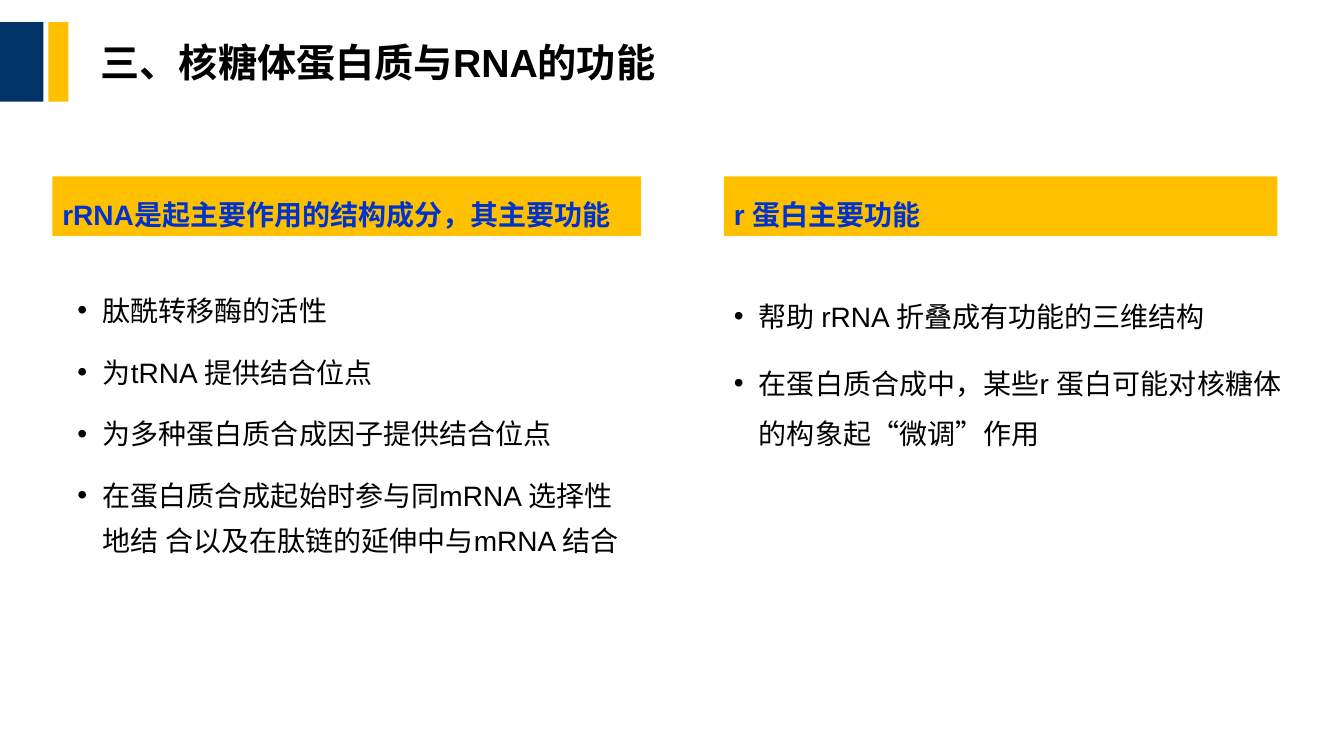
import dataclasses
import typing

import lxml.etree
import pptx
import pptx.dml.color
import pptx.enum.shapes
import pptx.enum.text
import pptx.oxml.ns
import pptx.util

COLOURS = {"navy": "003366", "gold": "FFC000", "blue": "0033CC", "black": "000000"}
FONT = "Arial"
SLIDE_WIDTH = pptx.util.Inches(13.33)
SLIDE_HEIGHT = pptx.util.Inches(7.5)
INDENT = pptx.util.Inches(0.25)

# Rows shared by the parts: top and height in percent of the slide height
TITLE_ROW = (2.93, 10.53)
HEADING_ROW = (23.33, 7.87)
LIST_ROW = (36.67, 57.6)


@dataclasses.dataclass
class Box:
    """Left and width in percent of the slide width, plus a row."""
    left: float
    width: float
    row: tuple[float, float]

    def lengths(self) -> tuple[int, int, int, int]:
        top, height = self.row
        return (round(SLIDE_WIDTH * self.left / 100), round(SLIDE_HEIGHT * top / 100),
                round(SLIDE_WIDTH * self.width / 100), round(SLIDE_HEIGHT * height / 100))


@dataclasses.dataclass
class Topic:
    heading: str
    heading_box: Box
    points: list[str]
    list_box: Box
    line_spacing: typing.Any


ACCENTS = [(Box(0, 3.23, TITLE_ROW), "navy"), (Box(3.6, 1.5, TITLE_ROW), "gold")]
TOPICS = [
    Topic("rRNA是起主要作用的结构成分，其主要功能", Box(3.9, 43.81, HEADING_ROW),
          ["肽酰转移酶的活性",
           "为tRNA 提供结合位点",
           "为多种蛋白质合成因子提供结合位点",
           "在蛋白质合成起始时参与同mRNA 选择性地结 合以及在肽链的延伸中与mRNA 结合"],
          Box(5.03, 42.76, LIST_ROW), pptx.util.Pt(32)),
    Topic("r 蛋白主要功能", Box(53.86, 41.19, HEADING_ROW),
          ["帮助 rRNA 折叠成有功能的三维结构",
           "在蛋白质合成中，某些r 蛋白可能对核糖体的构象起“微调”作用"],
          Box(53.86, 44.19, LIST_ROW), 1.5),
]


def add_block(slide, box: Box, colour: str):
    shape = slide.shapes.add_shape(pptx.enum.shapes.MSO_SHAPE.RECTANGLE, *box.lengths())
    shape.shadow.inherit = False
    shape.fill.solid()
    shape.fill.fore_color.rgb = pptx.dml.color.RGBColor.from_string(COLOURS[colour])
    shape.line.fill.background()
    return shape


def write(shape, text: str, size: int, colour: str, bold: bool, middle: bool) -> None:
    anchors = pptx.enum.text.MSO_ANCHOR
    text_frame = shape.text_frame
    text_frame.text = text
    text_frame.word_wrap = True
    text_frame.vertical_anchor = anchors.MIDDLE if middle else anchors.TOP
    for paragraph in text_frame.paragraphs:
        paragraph.alignment = pptx.enum.text.PP_ALIGN.LEFT
        for run in paragraph.runs:
            run.font.name = FONT
            run.font.size = pptx.util.Pt(size)
            run.font.bold = bold
            run.font.color.rgb = pptx.dml.color.RGBColor.from_string(COLOURS[colour])


def add_bullet(paragraph) -> None:
    properties = paragraph._p.get_or_add_pPr()
    properties.set("marL", str(INDENT))
    properties.set("indent", str(-INDENT))
    for tag, key, value in (("a:buFont", "typeface", FONT), ("a:buChar", "char", "•")):
        lxml.etree.SubElement(properties, pptx.oxml.ns.qn(tag)).set(key, value)


def add_topic(slide, topic: Topic) -> None:
    # Heading bar
    heading = add_block(slide, topic.heading_box, "gold")
    write(heading, topic.heading, 20, "blue", bold=True, middle=True)
    heading.text_frame.paragraphs[0].line_spacing = 1.5

    # Bulleted list
    points = slide.shapes.add_textbox(*topic.list_box.lengths())
    write(points, "\n".join(topic.points), 20, "black", bold=False, middle=False)
    for index, paragraph in enumerate(points.text_frame.paragraphs):
        add_bullet(paragraph)
        paragraph.line_spacing = topic.line_spacing
        paragraph.space_before = pptx.util.Pt(6 if index else 0)
        paragraph.space_after = pptx.util.Pt(6)


def main() -> None:
    presentation = pptx.Presentation()
    presentation.slide_width = SLIDE_WIDTH
    presentation.slide_height = SLIDE_HEIGHT
    slide = presentation.slides.add_slide(presentation.slide_layouts[6])

    # Title with its accent blocks
    for box, colour in ACCENTS:
        add_block(slide, box, colour)
    title = slide.shapes.add_textbox(*Box(6.75, 90.77, TITLE_ROW).lengths())
    write(title, "三、核糖体蛋白质与RNA的功能", 28, "black", bold=True, middle=True)

    # Two topics side by side
    for topic in TOPICS:
        add_topic(slide, topic)

    presentation.save("out.pptx")


if __name__ == "__main__":
    main()
